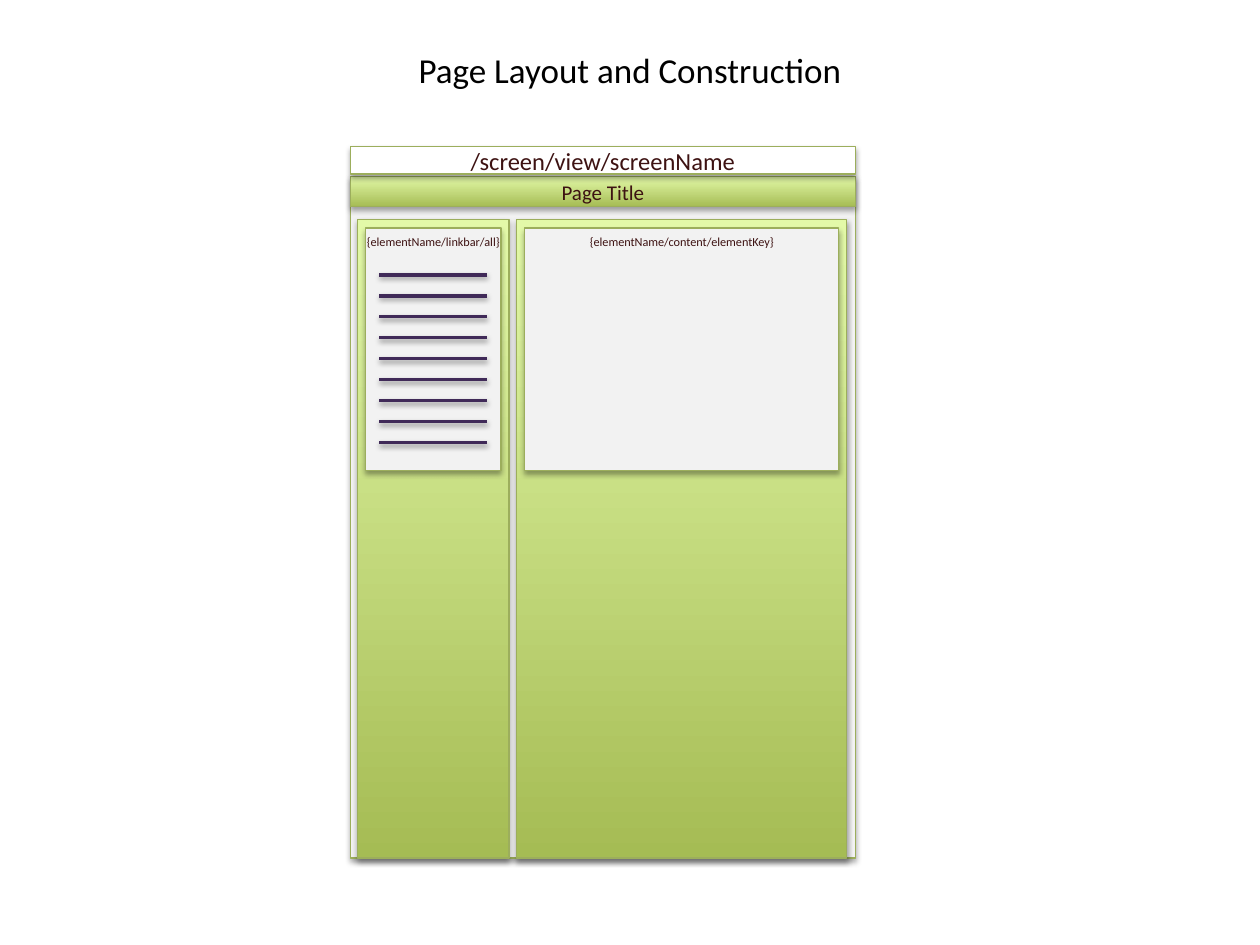
from dataclasses import dataclass
from typing import NamedTuple

from lxml.etree import SubElement
from pptx import Presentation
from pptx.dml.color import RGBColor as Rgb
from pptx.enum.shapes import MSO_CONNECTOR as Connector, MSO_SHAPE as Shape
from pptx.enum.text import MSO_ANCHOR as Anchor, PP_ALIGN as Align
from pptx.oxml.ns import qn
from pptx.util import Cm, Pt


@dataclass(frozen=True)
class Theme:
    font: str = "Calibri"
    black: Rgb = Rgb(0, 0, 0)
    white: Rgb = Rgb(255, 255, 255)
    panel: Rgb = Rgb(0xF2, 0xF2, 0xF2)
    border: Rgb = Rgb(0x9C, 0xAE, 0x5C)
    green: tuple = (Rgb(0xA5, 0xBC, 0x54), Rgb(0xE3, 0xF9, 0xA8))
    text: Rgb = Rgb(0x3D, 0x12, 0x12)
    link: Rgb = Rgb(0x40, 0x2A, 0x58)
    title_size: float = 20
    address_size: float = 14
    heading_size: float = 12
    label_size: float = 7
    border_width: float = 0.75
    link_width: float = 2


class Box(NamedTuple):
    left: float
    top: float
    width: float
    height: float

    def lengths(self):
        return [Cm(value) for value in self]


THEME = Theme()


def add_shadow(shape, opacity, distance):
    effects = SubElement(shape._element.spPr, qn("a:effectLst"))
    shadow = SubElement(effects, qn("a:outerShdw"), blurRad=str(Pt(3.1)),
                        dist=str(Pt(distance)), dir="5400000", rotWithShape="0")
    color = SubElement(shadow, qn("a:srgbClr"), val=str(THEME.black))
    SubElement(color, qn("a:alpha"), val=str(opacity * 1000))


def write_text(shape, text, size, color, anchor):
    frame = shape.text_frame
    frame.word_wrap = True
    frame.vertical_anchor = anchor
    paragraph = frame.paragraphs[0]
    paragraph.alignment = Align.CENTER
    run = paragraph.add_run()
    run.text = text
    run.font.name = THEME.font
    run.font.size = Pt(size)
    run.font.color.rgb = color


def add_block(slide, box, fill):
    shape = slide.shapes.add_shape(Shape.RECTANGLE, *box.lengths())
    if isinstance(fill, Rgb):
        shape.fill.solid()
        shape.fill.fore_color.rgb = fill
    else:
        shape.fill.gradient()
        shape.fill.gradient_angle = 90
        for stop, color in zip(shape.fill.gradient_stops, fill):
            stop.color.rgb = color
    shape.line.color.rgb = THEME.border
    shape.line.width = Pt(THEME.border_width)
    add_shadow(shape, 35, 1.8)
    return shape


def add_title(slide, box, text):
    title = slide.shapes.title
    title.left, title.top, title.width, title.height = box.lengths()
    write_text(title, text, THEME.title_size, THEME.black, Anchor.MIDDLE)


def add_bar(slide, box, fill, text, size):
    bar = add_block(slide, box, fill)
    write_text(bar, text, size, THEME.text, Anchor.MIDDLE)


def add_column(slide, box, label):
    add_block(slide, box, THEME.green)
    inset = 0.16
    panel_box = Box(box.left + inset, box.top + 0.18, box.width - 2 * inset, 4.88)
    panel = add_block(slide, panel_box, THEME.panel)
    panel.text_frame.margin_left = panel.text_frame.margin_right = 0
    write_text(panel, label, THEME.label_size, THEME.text, Anchor.TOP)
    return panel_box


def add_links(slide, box, count):
    group = slide.shapes.add_group_shape()
    step = box.height / (count - 1)
    for index in range(count):
        y = Cm(box.top + index * step)
        link = group.shapes.add_connector(
            Connector.STRAIGHT, Cm(box.left), y, Cm(box.left + box.width), y)
        link.line.color.rgb = THEME.link
        link.line.width = Pt(THEME.link_width)
        add_shadow(link, 38, 1.6)


def add_page(slide, box):
    left, top, width, height = box
    body_top = top + 0.61
    add_block(slide, Box(left, body_top, width, height - 0.61), THEME.panel)
    add_bar(slide, Box(left, body_top, width, 0.61), THEME.green,
            "Page Title", THEME.heading_size)
    add_bar(slide, Box(left, top, width, 0.56), THEME.white,
            "/screen/view/screenName", THEME.address_size)

    column_top, column_height = top + 1.47, height - 1.47
    panel = add_column(slide, Box(left + 0.15, column_top, 3.05, column_height),
                       "{elementName/linkbar/all}")
    add_links(slide, Box(panel.left + 0.28, panel.top + 0.94,
                         panel.width - 0.56, 3.38), 9)
    add_column(slide, Box(left + 3.36, column_top, 6.65, column_height),
               "{elementName/content/elementKey}")


def main():
    presentation = Presentation()
    presentation.slide_width, presentation.slide_height = Cm(25.4), Cm(19.05)
    slide = presentation.slides.add_slide(presentation.slide_layouts[5])
    add_title(slide, Box(1.27, 0.76, 22.86, 1.27), "Page Layout and Construction")
    add_page(slide, Box(7.06, 2.95, 10.19, 14.35))
    presentation.save("out.pptx")


if __name__ == "__main__":
    main()
